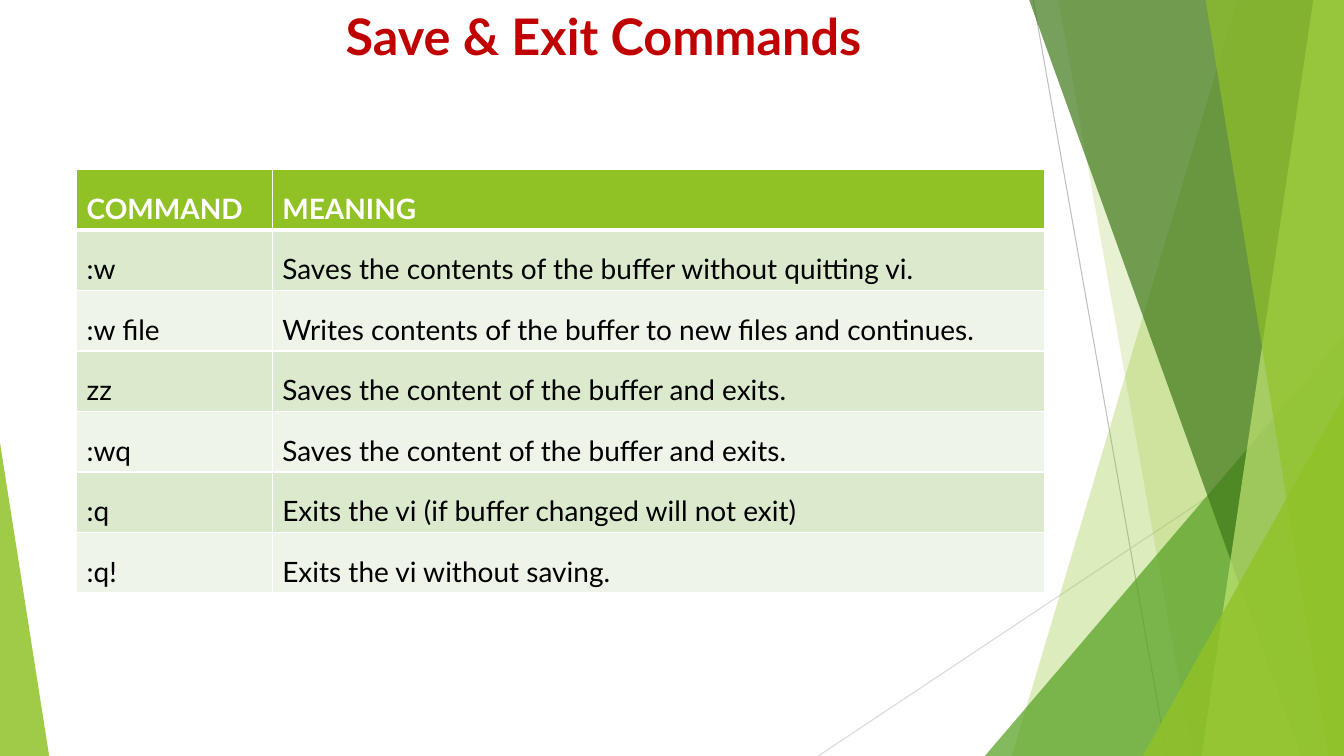
"""Build a slide with a table of save and exit commands for the vi editor."""
from lxml import etree
from pptx import Presentation
from pptx.dml.color import RGBColor
from pptx.enum.shapes import MSO_CONNECTOR, MSO_SHAPE
from pptx.enum.text import MSO_AUTO_SIZE
from pptx.oxml.ns import qn
from pptx.util import Cm, Pt

STRAIGHT = MSO_CONNECTOR.STRAIGHT
TRIANGLE = MSO_SHAPE.ISOSCELES_TRIANGLE
GROW = MSO_AUTO_SIZE.SHAPE_TO_FIT_TEXT

WHITE = RGBColor(0xFF, 0xFF, 0xFF)
BLACK = RGBColor(0x00, 0x00, 0x00)
RED = RGBColor(0xC0, 0x00, 0x00)
LIME = RGBColor(0x90, 0xC2, 0x26)
PALE_LIME = RGBColor(0xC0, 0xE4, 0x74)
GREEN = RGBColor(0x54, 0xA0, 0x21)
DARK_GREEN = RGBColor(0x3F, 0x78, 0x19)
BAND_DARK = RGBColor(0xDB, 0xE9, 0xCD)
BAND_LIGHT = RGBColor(0xEE, 0xF4, 0xE8)
GREY = RGBColor(0xBF, 0xBF, 0xBF)
LIGHT_GREY = RGBColor(0xD9, 0xD9, 0xD9)

WIDTH, HEIGHT = 33.87, 19.05
BLADE_TOP = -0.02

LINES = [
    ((26.04, 0), (29.41, HEIGHT), GREY),
    ((WIDTH, 10.24), (20.62, HEIGHT), LIGHT_GREY),
]
# Blades give top and bottom x; triangles give left, top, width and apex.
FACETS = [
    ("blade", (31.19, 25.5), LIME, 30),
    ("blade", (26.67, 30.05), LIME, 20),
    ("triangle", (24.82, 8.46, 9.05, 1), GREEN, 72),
    ("blade", (25.93, 32.79), DARK_GREEN, 70),
    ("blade", (33.1, 30.28), PALE_LIME, 70),
    ("blade", (30.38, 33.48), LIME, 65),
    ("triangle", (28.8, 9.98, 5.07, 1), LIME, 80),
    ("triangle", (0, 11.15, 1.24, 0), LIME, 85),
]
ROWS = [
    ("COMMAND", "MEANING"),
    (":w", "Saves the contents of the buffer without quitting vi."),
    (":w file", "Writes contents of the buffer to new files and continues."),
    ("zz", "Saves the content of the buffer and exits."),
    (":wq", "Saves the content of the buffer and exits."),
    (":q", "Exits the vi (if buffer changed will not exit)"),
    (":q!", "Exits the vi without saving."),
]


def write(p, text, color, **formats):
    r = p.add_run()
    r.text = text
    r.font.color.rgb = color
    for name, value in {"name": "Lato", **formats}.items():
        setattr(r.font, name, value)


def add_border(cell, side, points):
    ln = etree.SubElement(cell._tc.get_or_add_tcPr(), qn(f"a:{side}"), w=str(Pt(points)))
    fill = etree.SubElement(ln, qn("a:solidFill"))
    etree.SubElement(fill, qn("a:srgbClr"), val=str(WHITE))


prs = Presentation()
prs.slide_width, prs.slide_height = Cm(WIDTH), Cm(HEIGHT)
s = prs.slides.add_slide(prs.slide_layouts[6])

for start, end, color in LINES:
    line = s.shapes.add_connector(STRAIGHT, *(Cm(v) for v in start + end))
    line.line.color.rgb = color
    line.line.width = Pt(0.75)
    etree.SubElement(line._element.spPr, qn("a:effectLst"))

for kind, geometry, color, opacity in FACETS:
    if kind == "blade":
        top_x, bottom_x = geometry
        outline = s.shapes.build_freeform(Cm(top_x), Cm(BLADE_TOP))
        corners = [(WIDTH, BLADE_TOP), (WIDTH, HEIGHT), (bottom_x, HEIGHT)]
        outline.add_line_segments([(Cm(x), Cm(y)) for x, y in corners])
        sp = outline.convert_to_shape()
    else:
        left, top, width, apex = geometry
        sp = s.shapes.add_shape(TRIANGLE, Cm(left), Cm(top), Cm(width), Cm(HEIGHT - top))
        sp.adjustments[0] = apex
    sp.shadow.inherit = False
    sp.line.fill.background()
    sp.fill.solid()
    sp.fill.fore_color.rgb = color
    tint = sp._element.spPr.find(f"{qn('a:solidFill')}/{qn('a:srgbClr')}")
    etree.SubElement(tint, qn("a:alpha"), val=str(opacity * 1000))

title = s.shapes.add_textbox(Cm(8.46), Cm(0), Cm(14.12), Cm(1.8))
tf = title.text_frame
tf.word_wrap = False
tf.auto_size = GROW
write(tf.paragraphs[0], "Save & Exit Commands", RED, size=Pt(36), bold=True)

row_height = 1.52
frame = s.shapes.add_table(
    len(ROWS), 2, Cm(1.93), Cm(4.27), Cm(24.39), Cm(row_height * len(ROWS)))
table = frame.table
for column, width in zip(table.columns, (4.93, 19.46)):
    column.width = Cm(width)

for i, texts in enumerate(ROWS):
    table.rows[i].height = Cm(row_height)
    header = i == 0
    band = LIME if header else BAND_DARK if i % 2 else BAND_LIGHT
    for j, text in enumerate(texts):
        cell = table.cell(i, j)
        borders = {"lnL": 1, "lnR": 1, "lnT": 3 if i == 1 else 1, "lnB": 3 if header else 1}
        for side, points in borders.items():
            add_border(cell, side, points)
        cell.fill.solid()
        cell.fill.fore_color.rgb = band
        p = cell.text_frame.paragraphs[0]
        p.line_spacing = 1.5
        write(p, text, WHITE if header else BLACK, size=Pt(20), bold=header)

prs.save("out.pptx")
